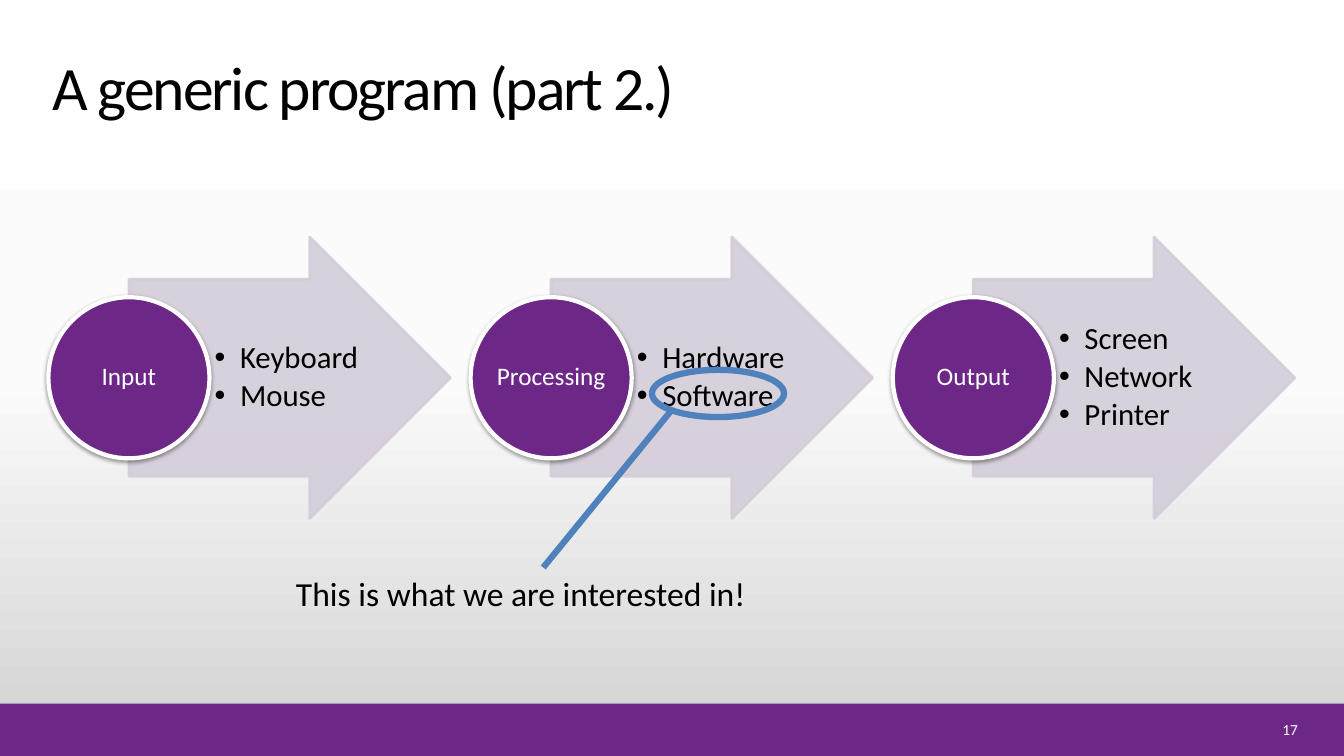
"""Build the slide showing the three stages of a generic program."""
from copy import deepcopy

from lxml import etree
from pptx import Presentation
from pptx.dml.color import RGBColor
from pptx.enum.shapes import MSO_CONNECTOR, MSO_SHAPE
from pptx.enum.text import MSO_ANCHOR, MSO_AUTO_SIZE, PP_ALIGN
from pptx.oxml.ns import qn
from pptx.util import Cm, Pt

ARROW, ELLIPSE, BAND = MSO_SHAPE.RIGHT_ARROW, MSO_SHAPE.OVAL, MSO_SHAPE.RECTANGLE
STRAIGHT = MSO_CONNECTOR.STRAIGHT
MIDDLE, BOTTOM = MSO_ANCHOR.MIDDLE, MSO_ANCHOR.BOTTOM
LEFT, CENTER, RIGHT = PP_ALIGN.LEFT, PP_ALIGN.CENTER, PP_ALIGN.RIGHT
NO_FIT = MSO_AUTO_SIZE.NONE

TITLE = "A generic program (part 2.)"
STAGES = [
    ("Input", ["Keyboard", "Mouse"]),
    ("Processing", ["Hardware", "Software"]),
    ("Output", ["Screen", "Network", "Printer"]),
]
REMARK = "This is what we are interested in!"
PAGE = "17"

FONT = "Calibri"
PURPLE, LILAC, BLUE, WHITE, BLACK = "6C2787", "D4CDD9", "4F81BD", "FFFFFF", "000000"
BACKDROP = [(0, "FFFFFF"), (0.5, "FBFBFB"), (1, "D1D1D1")]

SLIDE_W, SLIDE_H, BAND_H = 33.87, 19.05, 1.32
FIRST_CENTER, STAGE_PITCH, MIDLINE = 3.25, 10.64, 9.52
ARROW_W, ARROW_H, CIRCLE = 8.1, 7.09, 4.06
LIST_OFFSET, LIST_W, LIST_H = 2.01, 3.96, 4.95


def color(value):
    return RGBColor.from_string(value)


def cm(*lengths):
    return [Cm(length) for length in lengths]


def write(paragraph, text, size, ink, align=LEFT):
    paragraph.alignment = align
    run = paragraph.add_run()
    run.text = text
    run.font.name, run.font.size, run.font.bold = FONT, Pt(size), False
    run.font.color.rgb = color(ink)
    return run


def set_frame(frame, insets, anchor, wrap=True):
    frame.auto_size, frame.word_wrap, frame.vertical_anchor = NO_FIT, wrap, anchor
    (frame.margin_left, frame.margin_top,
     frame.margin_right, frame.margin_bottom) = cm(*insets)


def place(shape, *box):
    shape.left, shape.top, shape.width, shape.height = cm(*box)


def add_shape(kind, box, fill=None, line=None, weight=0):
    shape = slide.shapes.add_shape(kind, *cm(*box))
    shape.shadow.inherit = False
    if fill:
        shape.fill.solid()
        shape.fill.fore_color.rgb = color(fill)
    else:
        shape.fill.background()
    if line:
        shape.line.color.rgb = color(line)
        shape.line.width = Pt(weight)
    else:
        shape.line.fill.background()
    return shape


def add_text(box, text, size, ink, align=LEFT, anchor=MIDDLE, wrap=True):
    frame = slide.shapes.add_textbox(*cm(*box)).text_frame
    set_frame(frame, (0.25, 0.13, 0.25, 0.13), anchor, wrap)
    write(frame.paragraphs[0], text, size, ink, align)


def add_opacity(tint, percent):
    etree.SubElement(tint, qn("a:alpha"), val=str(percent * 1000))


def paint_backdrop():
    fill = slide.background.fill
    fill.gradient()
    fill.gradient_angle = 270
    stops = next(slide.element.iter(qn("a:gsLst")))
    stops.append(deepcopy(stops[-1]))
    for stop, (position, tint) in zip(fill.gradient_stops, BACKDROP):
        stop.position = position
        stop.color.rgb = color(tint)


def add_arrow(center):
    arrow = add_shape(ARROW, (center, MIDLINE - ARROW_H / 2, ARROW_W, ARROW_H),
                      LILAC, LILAC, 2)
    arrow.adjustments[0], arrow.adjustments[1] = 0.7, 0.5
    for tint in arrow.element.spPr.iter(qn("a:srgbClr")):
        add_opacity(tint, 90)


def fill_list(holder, center, items):
    place(holder, center + LIST_OFFSET, MIDLINE - LIST_H / 2, LIST_W, LIST_H)
    holder.element.getparent().append(holder.element)
    frame = holder.text_frame
    set_frame(frame, (0.15, 0.05, 0.08, 0.05), MIDDLE)
    for index, item in enumerate(items):
        paragraph = frame.add_paragraph() if index else frame.paragraphs[0]
        properties = paragraph._p.get_or_add_pPr()
        properties.set("marL", str(Cm(0.64)))
        properties.set("indent", str(-Cm(0.64)))
        etree.SubElement(properties, qn("a:buFont"), typeface="Arial")
        etree.SubElement(properties, qn("a:buChar"), char="•")
        paragraph.line_spacing = 0.9
        paragraph.space_before, paragraph.space_after = Pt(0), Pt(3.3)
        write(paragraph, item, 22, BLACK)


def add_circle(center, label):
    circle = add_shape(ELLIPSE, (center - CIRCLE / 2, MIDLINE - CIRCLE / 2, CIRCLE, CIRCLE),
                       PURPLE, WHITE, 3)
    effects = circle.element.spPr.find(qn("a:effectLst"))
    shadow = etree.SubElement(effects, qn("a:outerShdw"), blurRad=str(Pt(3.1)),
                              dist=str(Pt(1.6)), dir="5400000", rotWithShape="0")
    add_opacity(etree.SubElement(shadow, qn("a:srgbClr"), val=BLACK), 38)
    set_frame(circle.text_frame, (0.03, 0.03, 0.03, 0.03), MIDDLE)
    paragraph = circle.text_frame.paragraphs[0]
    paragraph.line_spacing = 0.9
    write(paragraph, label, 18, WHITE, CENTER)


presentation = Presentation()
presentation.slide_width, presentation.slide_height = cm(SLIDE_W, SLIDE_H)
slide = presentation.slides.add_slide(presentation.slide_layouts.get_by_name("Comparison"))
paint_backdrop()
add_shape(BAND, (0, SLIDE_H - BAND_H, SLIDE_W, BAND_H), PURPLE)

title = slide.shapes.title
place(title, 1.07, 1.02, 26.42, 2.21)
set_frame(title.text_frame, (0.25, 0.13, 0.25, 0.13), BOTTOM)
heading = write(title.text_frame.paragraphs[0], TITLE, 44, BLACK)
heading.font._element.set("spc", "-150")

holders = [holder for holder in slide.placeholders if holder.placeholder_format.idx]
for number, (stage, items) in enumerate(STAGES):
    stage_center = FIRST_CENTER + number * STAGE_PITCH
    add_arrow(stage_center)
    fill_list(holders[number], stage_center, items)
    add_circle(stage_center, stage)
for spare in holders[len(STAGES):]:
    spare.element.getparent().remove(spare.element)

add_text((31.06, 18.08, 1.9, 0.58), PAGE, 11, WHITE, RIGHT)
add_shape(ELLIPSE, (16.43, 9.32, 3.33, 1.19), line=BLUE, weight=4.5)
pointer = slide.shapes.add_connector(STRAIGHT, *cm(16.92, 10.34, 13.69, 14.3))
pointer.line.color.rgb = color(BLUE)
pointer.line.width = Pt(4.5)
etree.SubElement(pointer._element.spPr, qn("a:effectLst"))
add_text((7.21, 14.3, 12.98, 1.27), REMARK, 24, BLACK, wrap=False)

presentation.save("out.pptx")
